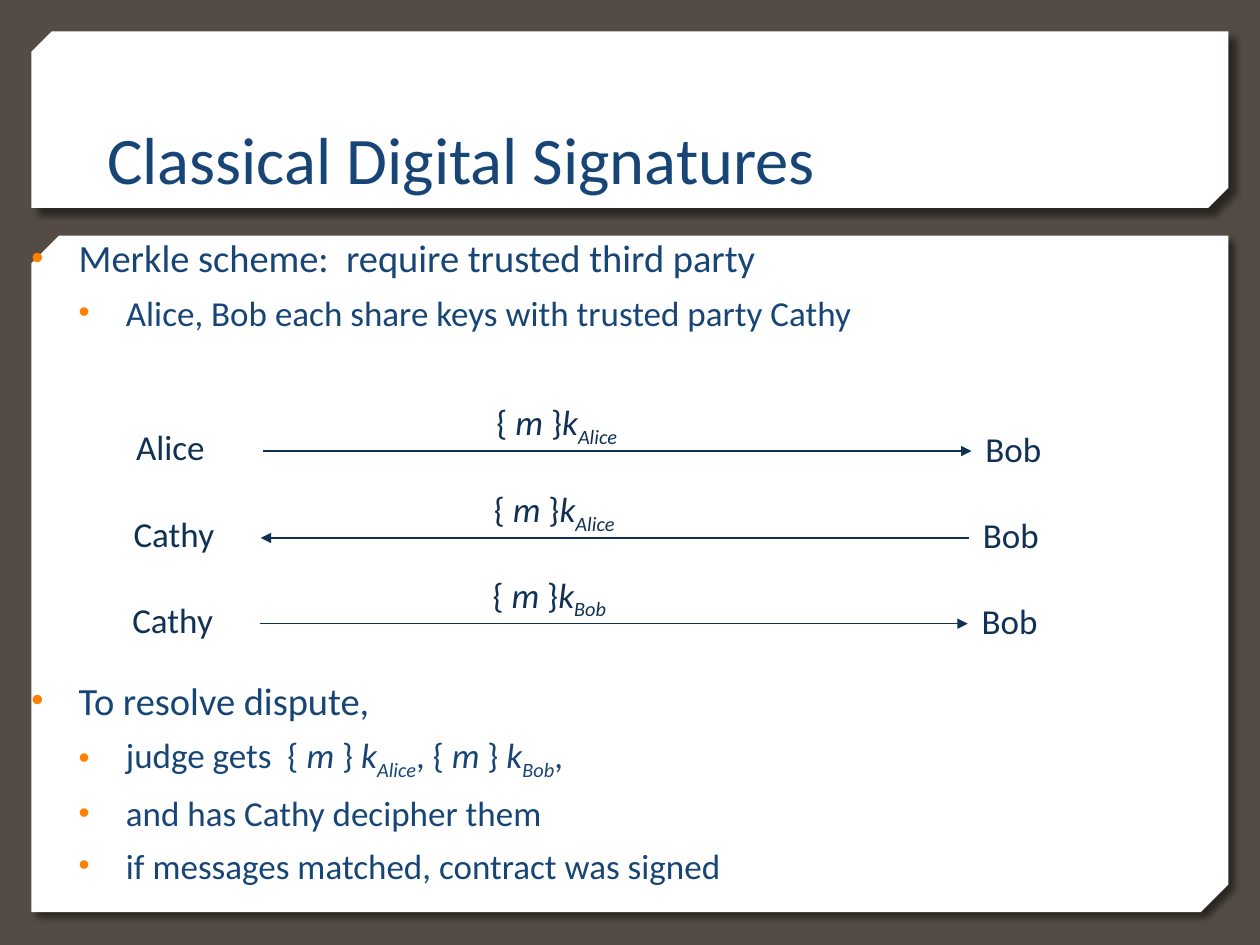
from dataclasses import dataclass

from lxml.etree import SubElement
from pptx import Presentation
from pptx.dml.color import RGBColor
from pptx.enum.shapes import MSO_CONNECTOR, MSO_SHAPE
from pptx.enum.text import MSO_ANCHOR
from pptx.oxml.ns import qn
from pptx.util import Inches, Pt


@dataclass(frozen=True)
class Theme:
    background: str = "544C44"
    panel: str = "FFFFFF"
    text: str = "174576"
    diagram: str = "103154"
    bullet: str = "FF7F01"
    shadow: str = "000000"
    font: str = "Calibri"
    title_size: int = 38
    level_sizes: tuple = (22, 20)
    diagram_size: int = 20
    line_width: float = 0.75


@dataclass(frozen=True)
class Frame:
    left: float
    top: float
    width: float
    height: float

    def lengths(self):
        return [Inches(v) for v in (self.left, self.top, self.width, self.height)]


@dataclass(frozen=True)
class Span:
    text: str
    italic: bool = False
    subscript: bool = False


@dataclass(frozen=True)
class Bullet:
    level: int
    spans: list


@dataclass(frozen=True)
class Message:
    sender: str
    receiver: str
    key_owner: str
    left: float
    top: float
    arrow_end: str


THEME = Theme()


def apply(target, values: dict) -> None:
    for name, value in values.items():
        setattr(target, name, value)


def plain(text: str) -> list:
    return [Span(text)]


def encrypted(owner: str, gap: str = "") -> list:
    return [Span("{ "), Span("m", True), Span(" }" + gap),
            Span("k", True), Span(owner, True, True)]


def add_panel(page, frame: Frame, snip: float) -> None:
    panel = page.shapes.add_shape(MSO_SHAPE.SNIP_2_DIAG_RECTANGLE, *frame.lengths())
    panel.adjustments[0] = snip / frame.height
    panel.adjustments[1] = 0
    panel.fill.solid()
    panel.fill.fore_color.rgb = RGBColor.from_string(THEME.panel)
    panel.line.fill.background()
    panel.shadow.inherit = False
    effects = panel._element.spPr.find(qn("a:effectLst"))
    shadow = SubElement(effects, qn("a:outerShdw"), blurRad=str(Pt(4)), dist=str(Pt(5)),
                        dir=str(45 * 60000), algn="tl", rotWithShape="0")
    color = SubElement(shadow, qn("a:srgbClr"), val=THEME.shadow)
    SubElement(color, qn("a:alpha"), val="50000")


def add_box(page, frame: Frame, margin: float = 0, anchor=MSO_ANCHOR.TOP):
    text_frame = page.shapes.add_textbox(*frame.lengths()).text_frame
    apply(text_frame, {"word_wrap": True, "vertical_anchor": anchor})
    sides = ("margin_left", "margin_top", "margin_right", "margin_bottom")
    apply(text_frame, dict.fromkeys(sides, Inches(margin)))
    return text_frame


def write_spans(para, spans: list, size: float, color: str) -> None:
    for item in spans:
        span = para.add_run()
        span.text = item.text
        apply(span.font, {"name": THEME.font, "size": Pt(size), "italic": item.italic})
        span.font.color.rgb = RGBColor.from_string(color)
        if item.subscript:
            span._r.get_or_add_rPr().set("baseline", "-25000")


def add_text(page, frame: Frame, spans: list, size: float, color: str,
             margin: float = 0.05, anchor=MSO_ANCHOR.TOP) -> None:
    box = add_box(page, frame, margin, anchor)
    write_spans(box.paragraphs[0], spans, size, color)


def add_bullets(page, frame: Frame, bullets: list) -> None:
    box = add_box(page, frame)
    for index, bullet in enumerate(bullets):
        para = box.add_paragraph() if index else box.paragraphs[0]
        para.level = bullet.level
        if index:
            para.space_before = Pt(6)
        properties = para._p.get_or_add_pPr()
        indent = Inches(0.375)
        properties.set("marL", str(indent * (bullet.level + 1)))
        properties.set("indent", str(-indent))
        color = SubElement(properties, qn("a:buClr"))
        SubElement(color, qn("a:srgbClr"), val=THEME.bullet)
        SubElement(properties, qn("a:buSzPct"), val="90000")
        SubElement(properties, qn("a:buFont"), typeface="Arial")
        SubElement(properties, qn("a:buChar"), char="•")
        write_spans(para, bullet.spans, THEME.level_sizes[bullet.level], THEME.text)


def add_arrow(page, left: float, right: float, y: float, arrow_end: str) -> None:
    arrow = page.shapes.add_connector(
        MSO_CONNECTOR.STRAIGHT, Inches(left), Inches(y), Inches(right), Inches(y))
    arrow.line.color.rgb = RGBColor.from_string(THEME.diagram)
    arrow.line.width = Pt(THEME.line_width)
    SubElement(arrow.line._get_or_add_ln(), qn(arrow_end), type="triangle")
    SubElement(arrow._element.spPr, qn("a:effectLst"))


def add_message(page, message: Message) -> None:
    left, top = message.left, message.top
    labels = (
        (Frame(left, top, 1.01, 0.42), plain(message.sender)),
        (Frame(left + 6.74, top + 0.01, 1.01, 0.42), plain(message.receiver)),
        (Frame(left + 2.86, top - 0.2, 1.65, 0.47), encrypted(message.key_owner)),
    )
    add_arrow(page, left + 1.06, left + 6.68, top + 0.25, message.arrow_end)
    for frame, spans in labels:
        add_text(page, frame, spans, THEME.diagram_size, THEME.diagram)


def main() -> None:
    deck = Presentation()
    apply(deck, {"slide_width": Inches(10), "slide_height": Inches(7.5)})
    page = deck.slides.add_slide(deck.slide_layouts[6])
    page.background.fill.solid()
    page.background.fill.fore_color.rgb = RGBColor.from_string(THEME.background)

    add_panel(page, Frame(0.25, 1.87, 9.5, 5.37), 0.22)
    add_panel(page, Frame(0.25, 0.25, 9.5, 1.4), 0.16)
    add_text(page, Frame(0.85, 0.32, 8.29, 1.25), plain("Classical Digital Signatures"),
             THEME.title_size, THEME.text, 0, MSO_ANCHOR.BOTTOM)

    add_bullets(page, Frame(0.25, 1.86, 9.5, 0.9), [
        Bullet(0, plain("Merkle scheme:  require trusted third party")),
        Bullet(1, plain("Alice, Bob each share keys with trusted party Cathy")),
    ])
    add_bullets(page, Frame(0.25, 5.37, 9.5, 1.8), [
        Bullet(0, plain("To resolve dispute,")),
        Bullet(1, [Span("judge gets  "), *encrypted("Alice", " "), Span(", "),
                   *encrypted("Bob", " "), Span(",")]),
        Bullet(1, plain("and has Cathy decipher them")),
        Bullet(1, plain("if messages matched, contract was signed")),
    ])

    for message in (
        Message("Alice", "Bob", "Alice", 1.03, 3.33, "a:tailEnd"),
        Message("Cathy", "Bob", "Alice", 1.01, 4.02, "a:headEnd"),
        Message("Cathy", "Bob", "Bob", 1.0, 4.7, "a:tailEnd"),
    ):
        add_message(page, message)

    deck.save("out.pptx")


if __name__ == "__main__":
    main()
